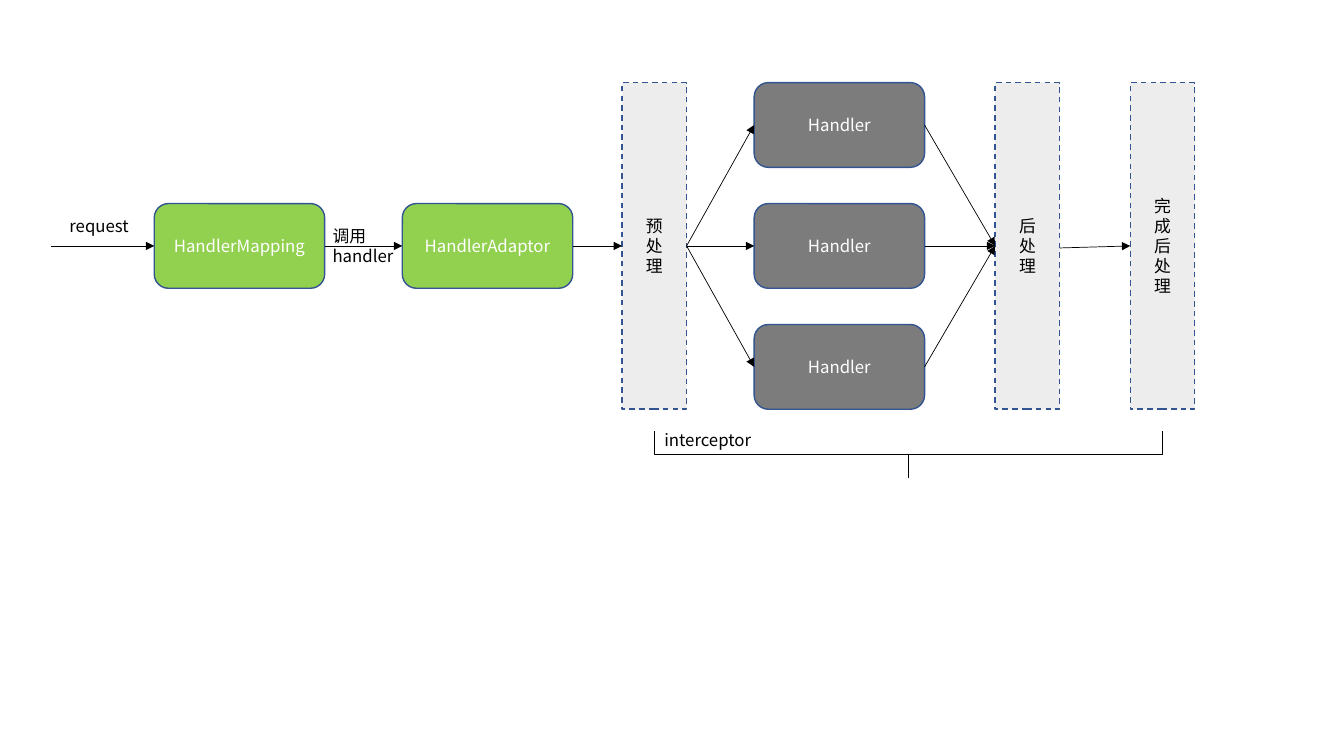
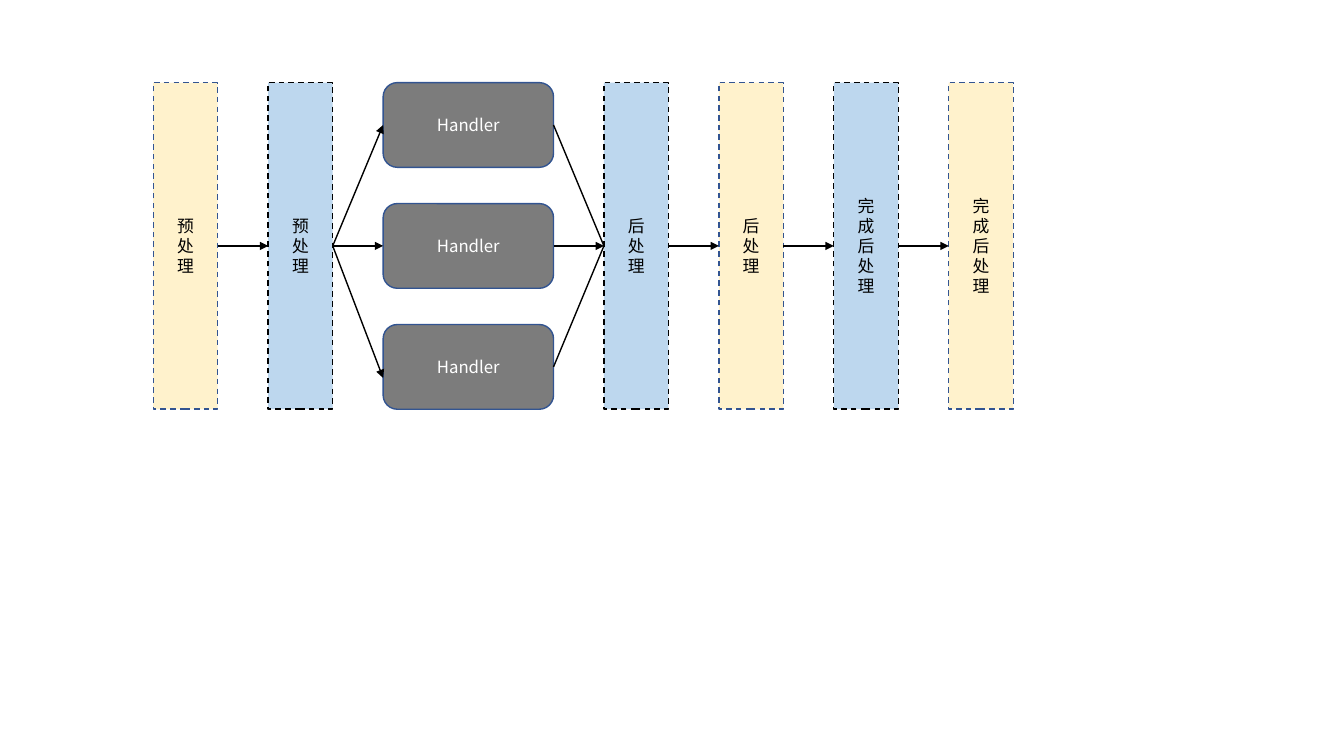
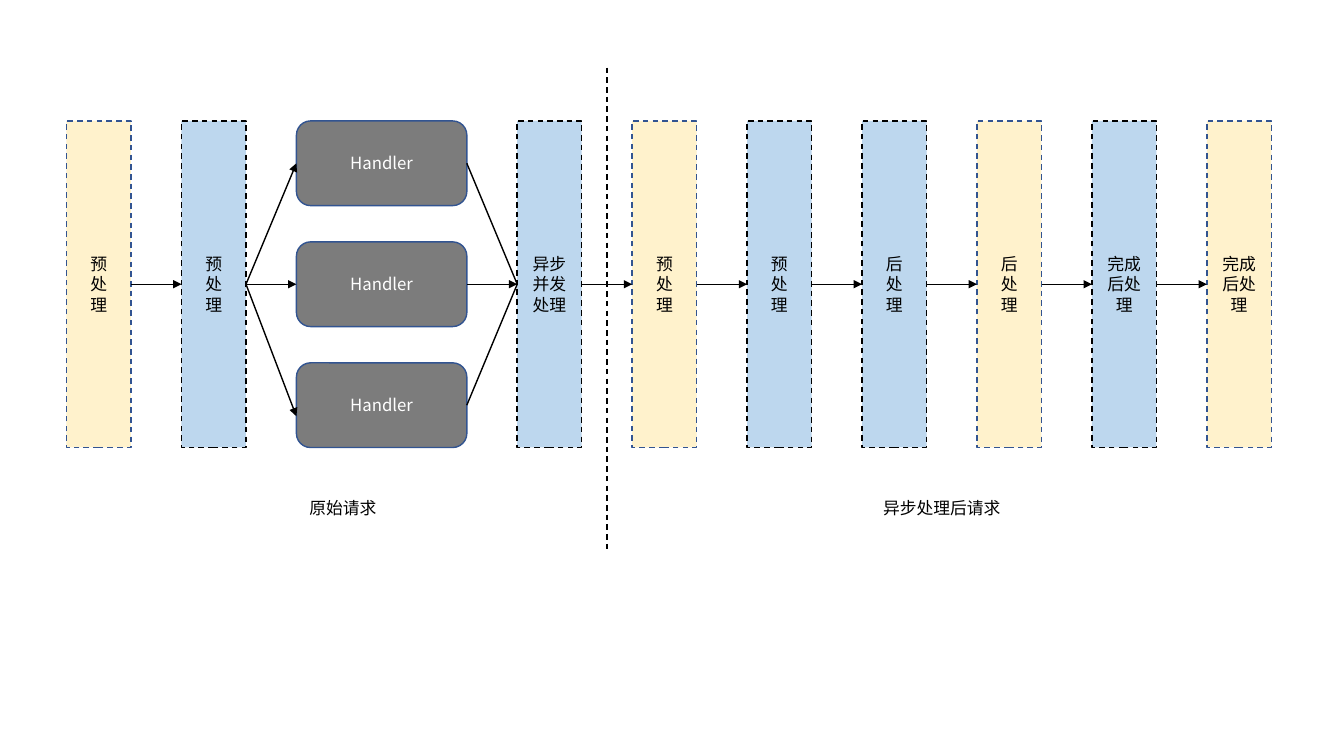
from lxml import etree
from pptx import Presentation
from pptx import util as u
from pptx.dml.color import RGBColor
from pptx.enum import dml, shapes, text
from pptx.oxml.ns import qn

FONT = "Noto Sans CJK SC"
BLACK, WHITE, NAVY = "000000", "FFFFFF", "325491"
ROUND, RECT = shapes.MSO_SHAPE.ROUNDED_RECTANGLE, shapes.MSO_SHAPE.RECTANGLE
CARD_W, CARD_H, BAR_W, BAR_H = 1.69, 0.84, 0.64, 3.24
CARD_STEP = (BAR_H - CARD_H) / 2
rgb = RGBColor.from_string

# kind: shape, width, height, fill, line, text colour
KINDS = {
    "green": (ROUND, CARD_W, CARD_H, "92D050", NAVY, WHITE),
    "grey": (ROUND, CARD_W, CARD_H, "7C7C7C", NAVY, WHITE),
    "pale": (RECT, BAR_W, BAR_H, "EDEDED", NAVY, BLACK),
    "yellow": (RECT, BAR_W, BAR_H, "FFF2CC", NAVY, BLACK),
    "blue": (RECT, BAR_W, BAR_H, "BDD7EE", BLACK, BLACK),
}
PRE, POST, DONE = "预\n处\n理", "后\n处\n理", "完\n成\n后\n处\n理"
DONE_SHORT = "完成\n后处理"

# Stages are (gap before, kind, text); a grey stage is a stack of three handlers.
# drop lowers the last fan-out arrow's tip, tilt lowers the last arrow's start.
FLOWS = [
    dict(top=0.82, left=1.53, weight=0.5, fan_heads=True, drop=0, tilt=0.02, stages=[
        (0, "green", "HandlerMapping"), (0.77, "green", "HandlerAdaptor"),
        (0.49, "pale", PRE), (0.67, "grey", "Handler"),
        (0.7, "pale", POST), (0.7, "pale", DONE)]),
    dict(top=0.82, left=1.52, weight=1, fan_heads=False, drop=0.11, tilt=0, stages=[
        (0, "yellow", PRE), (0.5, "blue", PRE), (0.5, "grey", "Handler"),
        (0.5, "blue", POST), (0.5, "yellow", POST),
        (0.5, "blue", DONE), (0.5, "yellow", DONE)]),
    dict(top=1.2, left=0.66, weight=1, fan_heads=False, drop=0.11, tilt=0, stages=[
        (0, "yellow", PRE), (0.5, "blue", PRE), (0.5, "grey", "Handler"),
        (0.5, "blue", "异步\n并发\n处理"), (0.5, "yellow", PRE), (0.5, "blue", PRE),
        (0.5, "blue", POST), (0.5, "yellow", POST),
        (0.5, "blue", DONE_SHORT), (0.5, "yellow", DONE_SHORT)]),
]


def write(sp, words, color, centred=True):
    tf = sp.text_frame
    tf.text = words
    tf.word_wrap = True
    if centred:
        tf.vertical_anchor = text.MSO_ANCHOR.MIDDLE
    for p in tf.paragraphs:
        p.alignment = text.PP_ALIGN.CENTER if centred else text.PP_ALIGN.LEFT
        for r in p.runs:
            for name, value in dict(name=FONT, size=u.Pt(12)).items():
                setattr(r.font, name, value)
            r.font.color.rgb = rgb(color)
            etree.SubElement(r._r.get_or_add_rPr(), qn("a:ea")).set("typeface", FONT)


def draw_line(s, a, b, weight, head=True, dash=None):
    """Each end is a point in inches or a shape: leave its right, reach its left."""
    points = [end if isinstance(end, tuple) else (0, 0) for end in (a, b)]
    c = s.shapes.add_connector(shapes.MSO_CONNECTOR.STRAIGHT,
                               *[u.Inches(v) for point in points for v in point])
    if not isinstance(a, tuple):
        c.begin_connect(a, 3)
    if not isinstance(b, tuple):
        c.end_connect(b, 1)
    c.line.color.rgb = rgb(BLACK)
    c.line.width = u.Pt(weight)
    c.line.dash_style = dash
    if head:
        etree.SubElement(c.line._get_or_add_ln(), qn("a:tailEnd")).set("type", "triangle")
    etree.SubElement(c._element.spPr, qn("a:effectLst"))


prs = Presentation()
prs.slide_width, prs.slide_height = u.Inches(13.33), u.Inches(7.5)

# Flows
for flow in FLOWS:
    s = prs.slides.add_slide(prs.slide_layouts[6])
    top, x = flow["top"], flow["left"]
    mid = top + BAR_H / 2
    previous = []
    for n, (gap, kind, words) in enumerate(flow["stages"], 1):
        shape, w, h, fill, line, color = KINDS[kind]
        start = x
        x += gap
        tops = [top + i * CARD_STEP for i in range(3)] if kind == "grey" else [mid - h / 2]
        stage = []
        for y in tops:
            sp = s.shapes.add_shape(shape, *[u.Inches(v) for v in (x, y, w, h)])
            sp.shadow.inherit = False
            sp.fill.solid()
            sp.fill.fore_color.rgb = rgb(fill)
            sp.line.color.rgb = rgb(line)
            sp.line.width = u.Pt(1)
            if shape == RECT:
                sp.line.dash_style = dml.MSO_LINE.DASH
            write(sp, words, color)
            stage.append(sp)

        # Arrows from the stage before
        for i, a in enumerate(previous):
            for j, b in enumerate(stage):
                begin, end = a, b
                if j == 2 and flow["drop"]:
                    end = (x, tops[j] + h / 2 + flow["drop"])
                if n == len(flow["stages"]) and flow["tilt"]:
                    begin = (start, mid + flow["tilt"])
                head = len(previous) == 1 or i == 1 or flow["fan_heads"]
                draw_line(s, begin, end, flow["weight"], head)
        previous = stage
        x += w

first, last = prs.slides[0], prs.slides[2]

# Incoming request
draw_line(first, (0.51, 2.44), (1.53, 2.44), 0.5)

# Interceptor brace
sp = first.shapes.add_shape(shapes.MSO_SHAPE.LEFT_BRACE,
                            *[u.Inches(v) for v in (8.78, 1.99, 0.46, 5.04)])
sp.rotation = 270
sp.adjustments[0], sp.adjustments[1] = 0, 0.5
sp.shadow.inherit = False
sp.fill.background()
sp.line.color.rgb = rgb(BLACK)
sp.line.width = u.Pt(0.5)
write(sp, "interceptor", BLACK)
sp.text_frame._txBody.bodyPr.set("vert", "eaVert")

# Divider between the two requests
draw_line(last, (6.02, 0.67), (6.02, 5.47), 1, head=False, dash=dml.MSO_LINE.DASH)

# Labels
for s, words, x, y, w, h in [
        (first, "request", 0.59, 2.09, 0.8, 0.3),
        (first, "调用handler", 3.2, 2.19, 0.93, 0.5),
        (last, "原始请求", 2.97, 4.89, 0.94, 0.3),
        (last, "异步处理后请求", 8.66, 4.89, 1.47, 0.3)]:
    sp = s.shapes.add_textbox(*[u.Inches(v) for v in (x, y, w, h)])
    write(sp, words, BLACK, centred=False)
    sp.text_frame.auto_size = text.MSO_AUTO_SIZE.SHAPE_TO_FIT_TEXT

prs.save("out.pptx")
